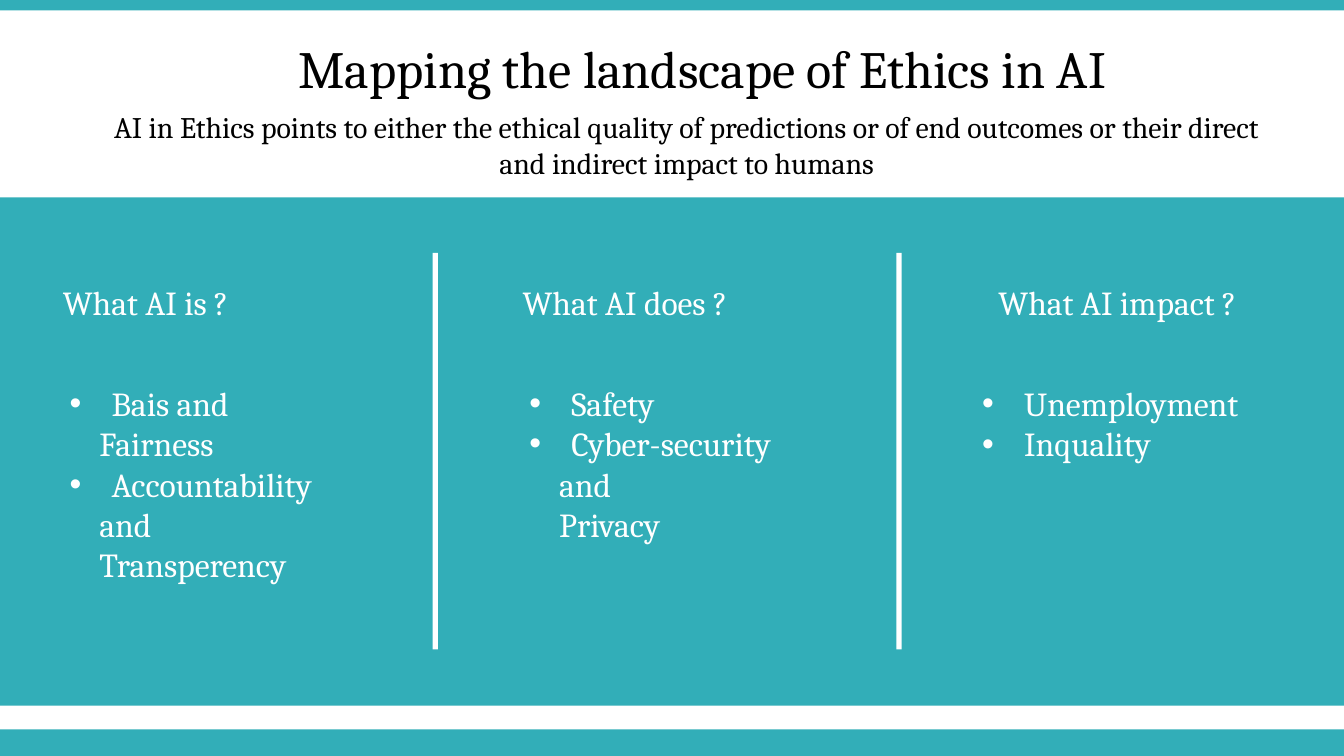
import pptx
import pptx.enum.shapes
import pptx.enum.text
import pptx.oxml.ns
import pptx.util
from lxml import etree
from pptx.dml.color import RGBColor

Pt = pptx.util.Pt
ALIGN = pptx.enum.text.PP_ALIGN
COLORS = {"teal": "32AEB8", "white": "FFFFFF", "black": "000000"}
FONT = "Cambria"
BULLET_INDENT = 22.5
CONTINUATION_INDENT = 16

COLUMNS = [
    ("What AI is ?", 26.6, 30.2, [
        ("Bais and", True), ("Fairness", False), ("Accountability", True),
        ("and", False), ("Transperency", False)]),
    ("What AI does ?", 272.9, 276.5, [
        ("Safety", True), ("Cyber-security", True),
        ("and", False), ("Privacy", False)]),
    ("What AI impact ?", 527.8, 519.1, [
        ("Unemployment", True), ("Inquality", True)]),
]


def add_bar(slide, box, color):
    """Add a plain filled rectangle."""
    bar = slide.shapes.add_shape(
        pptx.enum.shapes.MSO_SHAPE.RECTANGLE, *map(Pt, box))
    bar.shadow.inherit = False
    bar.fill.solid()
    bar.fill.fore_color.rgb = RGBColor.from_string(COLORS[color])
    bar.line.fill.background()


def add_text(slide, box, lines, size, color, alignment=ALIGN.LEFT):
    """Add a wrapping text box with one paragraph per line and return its paragraphs."""
    frame = slide.shapes.add_textbox(*map(Pt, box)).text_frame
    frame.word_wrap = True
    frame.text = "\n".join(lines)
    for paragraph in frame.paragraphs:
        paragraph.alignment = alignment
        paragraph.font.name = FONT
        paragraph.font.size = Pt(size)
        paragraph.font.color.rgb = RGBColor.from_string(COLORS[color])
    return frame.paragraphs


def indent_paragraph(paragraph, bulleted):
    """Give a paragraph a hanging bullet or a plain continuation indent."""
    properties = paragraph._p.get_or_add_pPr()
    margin = BULLET_INDENT if bulleted else CONTINUATION_INDENT
    properties.set("marL", str(Pt(margin)))
    properties.set("indent", str(Pt(-BULLET_INDENT if bulleted else 0)))
    children = [("a:buFont", "typeface", "Arial"), ("a:buChar", "char", "•")]
    defaults = properties.find(pptx.oxml.ns.qn("a:defRPr"))
    for tag, name, value in children if bulleted else []:
        element = etree.Element(pptx.oxml.ns.qn(tag), {name: value})
        if defaults is None:
            properties.append(element)
        else:
            defaults.addprevious(element)


def add_header(slide, box):
    """Add the title and the subtitle below it."""
    left, top, width, height = box
    add_text(slide, (left + 51.8, top, 565.2, 41),
             ["Mapping the landscape of Ethics in AI"], 28, "black", ALIGN.CENTER)
    add_text(slide, (left, top + 38.9, width, height - 38.9),
             ["AI in Ethics points to either the ethical quality of predictions "
              "or of end outcomes or their direct and indirect impact to humans"],
             16, "black", ALIGN.CENTER)


def add_panel(slide, box):
    """Add the teal panel with its dividers, headings and lists."""
    top = box[1]
    add_bar(slide, box, "teal")
    for divider_left in (231.8, 480.2):
        add_bar(slide, (divider_left, top + 29.7, 2.9, 212.4), "white")
    for heading, heading_left, list_left, items in COLUMNS:
        add_text(slide, (heading_left, top + 41.9, 175, 29), [heading], 18, "white")
        paragraphs = add_text(
            slide, (list_left, top + 95.8, 170.6, 7.2 + 21.7 * len(items)),
            [text for text, _ in items], 18, "white")
        for paragraph, (_, bulleted) in zip(paragraphs, items):
            indent_paragraph(paragraph, bulleted)


def main():
    """Build and save the presentation."""
    presentation = pptx.Presentation()
    presentation.slide_width, presentation.slide_height = Pt(720), Pt(405)
    slide = presentation.slides.add_slide(presentation.slide_layouts[6])
    add_bar(slide, (0, 390.8, 720, 14.2), "teal")
    add_bar(slide, (0, 0, 720, 5.6), "teal")
    add_panel(slide, (0, 105.8, 720, 272.2))
    add_header(slide, (41.8, 15.8, 652.3, 85))
    presentation.save("out.pptx")


if __name__ == "__main__":
    main()
